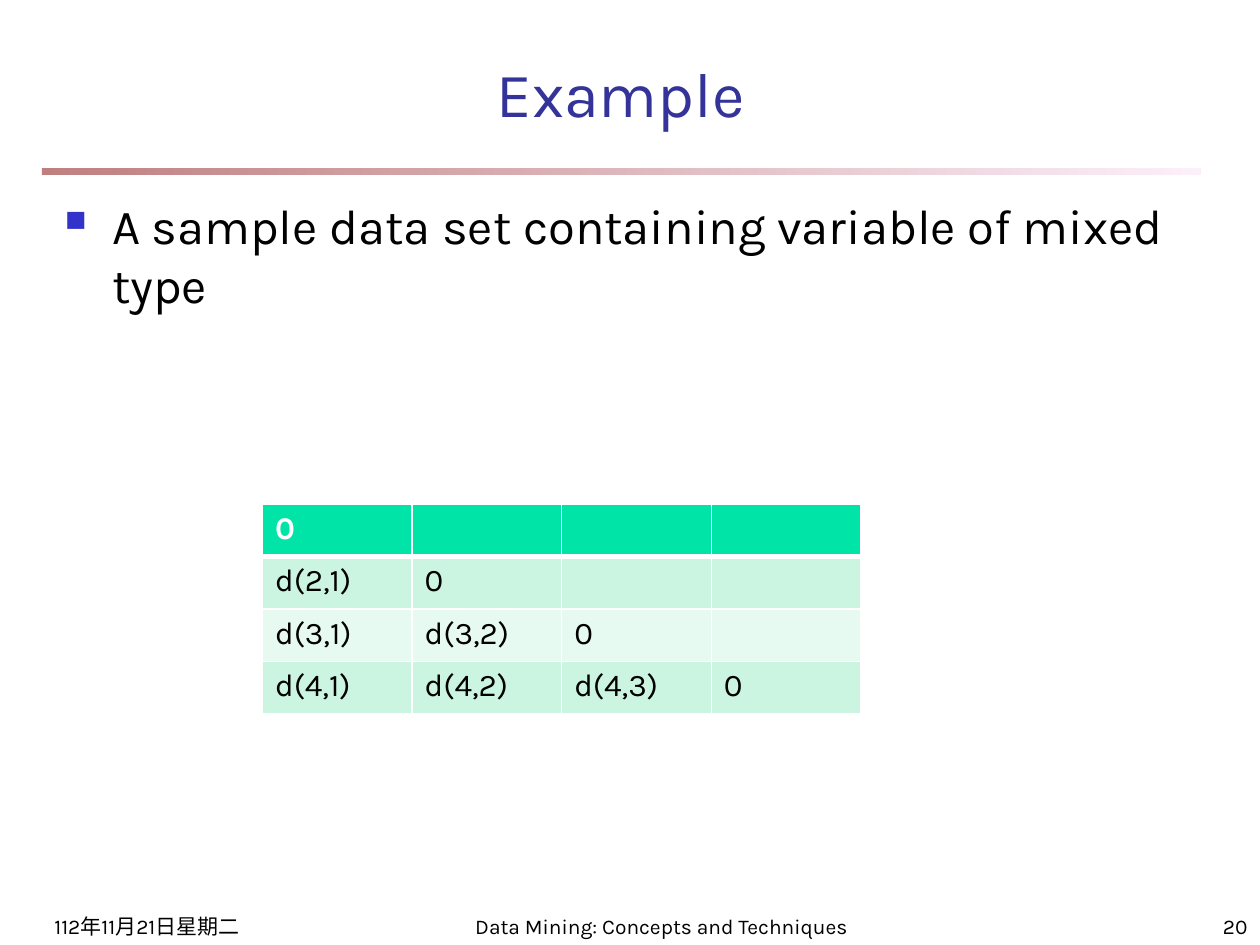
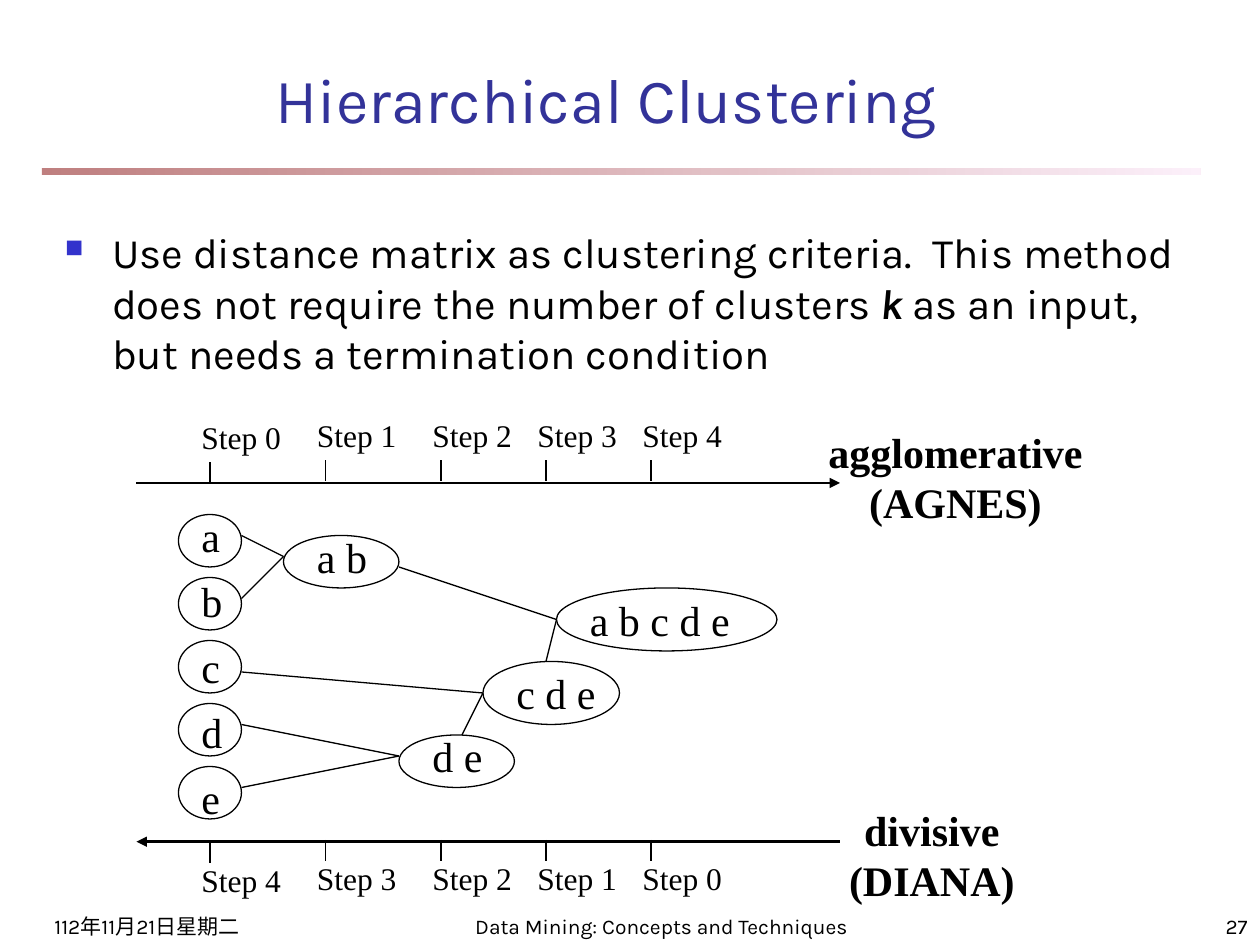
from collections import namedtuple
from dataclasses import dataclass

from lxml import etree
from pptx import Presentation
from pptx.dml.color import RGBColor
from pptx.enum.shapes import MSO_CONNECTOR, MSO_SHAPE
from pptx.enum.text import MSO_ANCHOR, MSO_AUTO_SIZE, PP_ALIGN
from pptx.oxml.ns import qn
from pptx.util import Pt

LEFT, CENTER, RIGHT = PP_ALIGN.LEFT, PP_ALIGN.CENTER, PP_ALIGN.RIGHT
TOP, MIDDLE, BOTTOM = MSO_ANCHOR.TOP, MSO_ANCHOR.MIDDLE, MSO_ANCHOR.BOTTOM
NO_AUTOSIZE = MSO_AUTO_SIZE.NONE
STRAIGHT = MSO_CONNECTOR.STRAIGHT
RECTANGLE, OVAL = MSO_SHAPE.RECTANGLE, MSO_SHAPE.OVAL
TITLE_ONLY = 5

Box = namedtuple("Box", "left top width height")


@dataclass(frozen=True)
class Theme:
    sans: str = "Karla"
    serif: str = "Times New Roman"
    ink: str = "000000"
    paper: str = "FFFFFF"
    title: str = "333399"
    bullet: str = "3333CC"
    band_start: str = "800000"
    band_end: str = "FAE2F6"
    header_fill: str = "00E4A8"
    odd_fill: str = "CBF5E1"
    even_fill: str = "E7FAF1"
    title_size: float = 36
    large_size: float = 28
    body_size: float = 24
    label_size: float = 18
    footer_size: float = 12
    thin: float = 0.75
    thick: float = 1.5


THEME = Theme()


# Shared helpers
def rgb(color):
    return RGBColor.from_string(color)


def points(*values):
    return [Pt(value) for value in values]


def add_run(para, text, size, font=THEME.sans, color=THEME.ink, bold=False, italic=False):
    span = para.add_run()
    span.text = text
    span.font.name, span.font.size = font, Pt(size)
    span.font.bold, span.font.italic = bold, italic
    span.font.color.rgb = rgb(color)


def add_text(page, box, lines, size, font=THEME.sans, align=LEFT, anchor=TOP, bold=False):
    frame = page.shapes.add_textbox(*points(*box)).text_frame
    frame.word_wrap, frame.vertical_anchor = True, anchor
    for index, line in enumerate(lines):
        para = frame.add_paragraph() if index else frame.paragraphs[0]
        para.alignment = align
        add_run(para, line, size, font, bold=bold)


def add_line(page, start, end, width=THEME.thin, arrow=None):
    line = page.shapes.add_connector(STRAIGHT, *points(*start, *end))
    line.line.color.rgb = rgb(THEME.ink)
    line.line.width = Pt(width)
    properties = line._element.spPr
    if arrow:
        etree.SubElement(properties.find(qn("a:ln")), qn(arrow), type="triangle")
    etree.SubElement(properties, qn("a:effectLst"))


# Regions shared by every slide
def add_title(page, box, text, anchor):
    title = page.shapes.title
    title.left, title.top, title.width, title.height = points(*box)
    frame = title.text_frame
    frame.auto_size, frame.vertical_anchor = NO_AUTOSIZE, anchor
    frame.paragraphs[0].alignment = CENTER
    add_run(frame.paragraphs[0], text, THEME.title_size, color=THEME.title)


def add_band(page, box):
    band = page.shapes.add_shape(RECTANGLE, *points(*box))
    band.shadow.inherit = False
    band.line.fill.background()
    band.fill.gradient()
    band.fill.gradient_angle = 0
    for stop, color in zip(band.fill.gradient_stops, (THEME.band_start, THEME.band_end)):
        stop.color.rgb = rgb(color)
    for color in band._element.spPr.iter(qn("a:srgbClr")):
        etree.SubElement(color, qn("a:alpha"), val="50000")


def add_footer(page, box, number):
    parts = [
        (0, 150, "112年11月21日星期二", LEFT),
        (240, 228, "Data Mining: Concepts and Techniques", CENTER),
        (546, 150, str(number), RIGHT),
    ]
    for offset, width, text, align in parts:
        add_text(page, Box(box.left + offset, box.top, width, box.height), [text],
                 THEME.footer_size, align=align, anchor=BOTTOM)


def add_bullet(page, box, runs, size):
    frame = page.shapes.add_textbox(*points(*box)).text_frame
    frame.word_wrap = True
    para = frame.paragraphs[0]
    settings = para._p.get_or_add_pPr()
    settings.set("marL", str(Pt(27)))
    settings.set("indent", str(Pt(-27)))
    color = etree.SubElement(settings, qn("a:buClr"))
    etree.SubElement(color, qn("a:srgbClr"), val=THEME.bullet)
    etree.SubElement(settings, qn("a:buSzPct"), val="60000")
    etree.SubElement(settings, qn("a:buChar"), char="■")
    for text, emphasis in runs:
        add_run(para, text, size, bold=emphasis, italic=emphasis)


def start_page(deck, title, title_box, title_anchor, number):
    page = deck.slides.add_slide(deck.slide_layouts[TITLE_ONLY])
    add_band(page, Box(24, 96, 662, 4))
    add_title(page, title_box, title, title_anchor)
    add_footer(page, Box(24, 510, 696, 30), number)
    return page


# Dissimilarity matrix
def set_borders(cell, top, bottom):
    settings = cell._tc.get_or_add_tcPr()
    for side, width in (("L", 1), ("R", 1), ("T", top), ("B", bottom)):
        border = etree.SubElement(settings, qn(f"a:ln{side}"), w=str(Pt(width)))
        fill = etree.SubElement(border, qn("a:solidFill"))
        etree.SubElement(fill, qn("a:srgbClr"), val=THEME.paper)


def add_distance_matrix(page, box, count):
    table = page.shapes.add_table(count, count, *points(*box)).table
    fills = (THEME.even_fill, THEME.odd_fill)
    for row in range(count):
        table.rows[row].height = Pt(box.height / count)
        table.columns[row].width = Pt(box.width / count)
        header = row == 0
        for column in range(count):
            cell = table.cell(row, column)
            set_borders(cell, 3 if row == 1 else 1, 3 if header else 1)
            cell.fill.solid()
            cell.fill.fore_color.rgb = rgb(THEME.header_fill if header else fills[row % 2])
            if column <= row:
                text = "0" if column == row else f"d({row + 1},{column + 1})"
                add_run(cell.text_frame.paragraphs[0], text, THEME.label_size,
                        color=THEME.paper if header else THEME.ink, bold=header)


# Clustering diagram
def add_step_axis(page, box, steps, label_top, tick_top, arrow_y, arrow):
    add_line(page, (box.left, box.top + arrow_y),
             (box.left + box.width, box.top + arrow_y), THEME.thick, arrow)
    for index, (step, offset) in enumerate(zip(steps, (42, 108, 174, 234, 294))):
        x = box.left + offset
        top = box.top + (0 if index else 1.2)
        add_line(page, (x, top + tick_top), (x, top + tick_top + 12))
        add_text(page, Box(x - 12, top + label_top, 62, 29), [f"Step {step}"],
                 THEME.label_size, THEME.serif)


def add_cluster(page, outline, label, label_box):
    add_text(page, label_box, [label], THEME.body_size, THEME.serif)
    oval = page.shapes.add_shape(OVAL, *points(*outline))
    oval.shadow.inherit = False
    oval.fill.background()
    oval.line.color.rgb = rgb(THEME.ink)
    oval.line.width = Pt(THEME.thin)


def add_cluster_tree(page, box):
    # Single objects
    for index, name in enumerate("abcde"):
        add_cluster(page, Box(box.left + 24, box.top + 60 + 36 * index, 36, 30), name,
                    Box(box.left + 30, box.top + 54 + 37.44 * index, 28, 36))

    # Merged clusters: left, top, width, height, label rise, label width
    merged = {
        "a b": (84, 72, 66, 30, 6, 46),
        "d e": (150, 186, 66, 30, 6, 46),
        "c d e": (198, 144, 78, 36, 0, 64),
        "a b c d e": (240, 102, 126, 36, 0, 100),
    }
    for name, (left, top, width, height, rise, label_width) in merged.items():
        x, y = box.left + left, box.top + top
        add_cluster(page, Box(x, y, width, height), name,
                    Box(x + 12, y - rise, label_width, 36))

    # Links from the members to the left end of each merged cluster
    links = {
        (84, 84): [(60, 72), (60, 108)],
        (150, 198): [(60, 180), (60, 216)],
        (198, 162): [(60, 150), (186, 186)],
        (240, 120): [(150, 90), (234, 144)],
    }
    for (end_x, end_y), starts in links.items():
        for x, y in starts:
            add_line(page, (box.left + x, box.top + y), (box.left + end_x, box.top + end_y))


def add_clustering_diagram(page, box):
    axis = Box(box.left, box.top, 402, box.height)
    add_step_axis(page, axis, range(5), 0, 29, 42, "a:tailEnd")
    add_cluster_tree(page, box)
    add_step_axis(page, axis, reversed(range(5)), 253.2, 246, 247, "a:headEnd")
    captions = [
        (386, 6, 164, ["agglomerative", "(AGNES)"]),
        (398, 222, 113, ["divisive", "(DIANA)"]),
    ]
    for left, top, width, lines in captions:
        add_text(page, Box(box.left + left, box.top + top, width, 65), lines,
                 THEME.body_size, THEME.serif, CENTER, bold=True)


# Slides
def add_example_page(deck):
    page = start_page(deck, "Example", Box(48, 30, 613.5, 48), BOTTOM, 20)
    add_bullet(page, Box(30, 108, 660, 96),
               [("A sample data set containing variable of mixed type", False)],
               THEME.large_size)
    add_distance_matrix(page, Box(150, 288, 342, 120), 4)


def add_hierarchy_page(deck):
    page = start_page(deck, "Hierarchical Clustering", Box(59, 39, 574.5, 34.5), MIDDLE, 27)
    add_bullet(page, Box(30, 126, 654, 384), [
        ("Use distance matrix as clustering criteria.  This method does not require "
         "the number of clusters ", False),
        ("k", True),
        (" as an input, but needs a termination condition", False),
    ], THEME.body_size)
    add_clustering_diagram(page, Box(78, 234, 550, 287))


def main():
    deck = Presentation()
    deck.slide_width, deck.slide_height = points(720, 540)
    add_example_page(deck)
    add_hierarchy_page(deck)
    deck.save("out.pptx")


if __name__ == "__main__":
    main()
